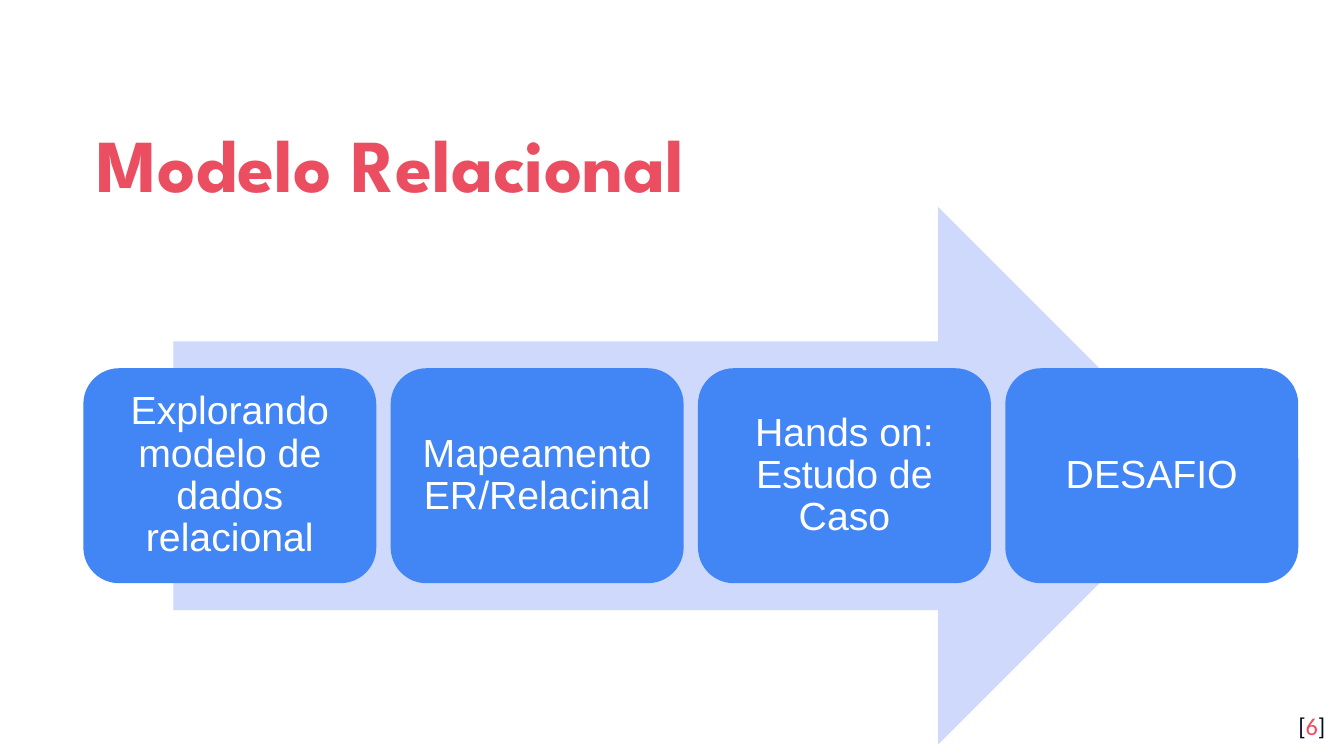
from pptx import Presentation
from pptx.dml.color import RGBColor
from pptx.enum.shapes import MSO_SHAPE as Shape
from pptx.enum.text import MSO_ANCHOR as Anchor, PP_ALIGN as Align
from pptx.util import Inches, Pt

COLORS = {
    "title": "EA4E60",
    "number": "040A24",
    "arrow": "CFD9FB",
    "step": "4285F4",
    "step_text": "FFFFFF",
}
STEPS = [
    "Explorando modelo de dados relacional",
    "Mapeamento ER/Relacinal",
    "Hands on: Estudo de Caso",
    "DESAFIO",
]
FIRST_LEFT, LAST_LEFT = 0.62, 7.48
STEP_PITCH = (LAST_LEFT - FIRST_LEFT) / (len(STEPS) - 1)


def add_block(kind, left, top, width, height, color):
    shape = slide.shapes.add_shape(
        kind, Inches(left), Inches(top), Inches(width), Inches(height))
    shape.shadow.inherit = False
    shape.fill.solid()
    shape.fill.fore_color.rgb = RGBColor.from_string(COLORS[color])
    shape.line.fill.background()
    return shape


def set_frame(frame, inset, anchor):
    frame.word_wrap = True
    frame.vertical_anchor = anchor
    frame.margin_left = frame.margin_right = Inches(inset)
    frame.margin_top = frame.margin_bottom = Inches(inset)
    return frame.paragraphs[0]


# Widescreen slide, 16:9
presentation = Presentation()
presentation.slide_width = Inches(10)
presentation.slide_height = Inches(10 * 9 / 16)
slide = presentation.slides.add_slide(presentation.slide_layouts[6])

# Title
title = slide.shapes.add_textbox(
    Inches(0.62), Inches(0.7), Inches(8.77), Inches(0.92))
paragraph = set_frame(title.text_frame, 0.1, Anchor.MIDDLE)
paragraph.text = "Modelo Relacional"
paragraph.line_spacing = 1.15
paragraph.font.name = "League Spartan"
paragraph.font.size = Pt(40)
paragraph.font.bold = True
paragraph.font.color.rgb = RGBColor.from_string(COLORS["title"])

# Page number
page_number = slide.shapes.add_textbox(
    Inches(9.36), Inches(5.19), Inches(0.6), Inches(0.43))
paragraph = set_frame(page_number.text_frame, 0.1, Anchor.TOP)
paragraph.alignment = Align.RIGHT
paragraph.font.name = "Calibri"
paragraph.font.size = Pt(13)
for text, color in [("[", "number"), ("6", "title"), ("]", "number")]:
    run = paragraph.add_run()
    run.text = text
    run.font.color.rgb = RGBColor.from_string(COLORS[color])

# Arrow behind the steps
add_block(Shape.RIGHT_ARROW, 1.29, 1.54, 7.69, 4, "arrow")

# Steps, evenly spaced
for index, text in enumerate(STEPS):
    left = FIRST_LEFT + index * STEP_PITCH
    step = add_block(
        Shape.ROUNDED_RECTANGLE, left, 2.74, 2.18, 1.6, "step")
    paragraph = set_frame(step.text_frame, 0.09, Anchor.MIDDLE)
    paragraph.text = text
    paragraph.alignment = Align.CENTER
    paragraph.line_spacing = 0.9
    paragraph.font.name = "Arial"
    paragraph.font.size = Pt(21)
    paragraph.font.color.rgb = RGBColor.from_string(COLORS["step_text"])

presentation.save("out.pptx")
